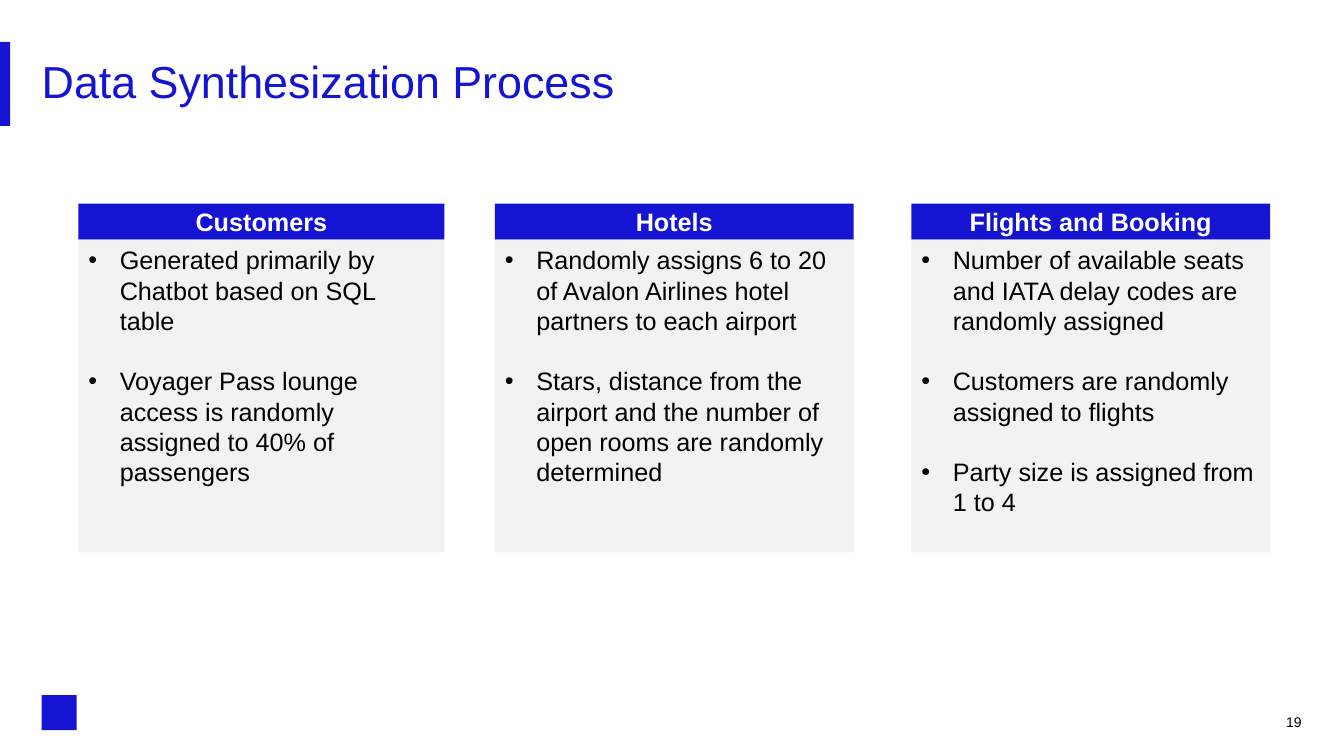
from pptx import Presentation
from pptx.dml.color import RGBColor
from pptx.enum.shapes import MSO_SHAPE
from pptx.enum.text import MSO_ANCHOR, PP_ALIGN
from pptx.oxml import parse_xml
from pptx.oxml.ns import nsdecls
from pptx.util import Pt

RECT = MSO_SHAPE.RECTANGLE
TOP, MIDDLE = MSO_ANCHOR.TOP, MSO_ANCHOR.MIDDLE
LEFT, CENTER, RIGHT = PP_ALIGN.LEFT, PP_ALIGN.CENTER, PP_ALIGN.RIGHT

BLUE = RGBColor(0x14, 0x14, 0xD2)
GREY = RGBColor(0xF2, 0xF2, 0xF2)
WHITE = RGBColor(0xFF, 0xFF, 0xFF)
BLACK = RGBColor(0x00, 0x00, 0x00)

INDENT = 22.5
LINE = 21.6
HEAD = 25.7
PITCH = 297.5

CARDS = [
    (261.4, "Customers", [
        "Generated primarily by Chatbot based on SQL table",
        "Voyager Pass lounge access is randomly assigned to 40% of passengers",
    ]),
    (256.3, "Hotels", [
        "Randomly assigns 6 to 20 of Avalon Airlines hotel partners to each airport",
        "Stars, distance from the airport and the number of open rooms are "
        "randomly determined",
    ]),
    (256.3, "Flights and Booking", [
        "Number of available seats and IATA delay codes are randomly assigned",
        "Customers are randomly assigned to flights",
        "Party size is assigned from 1 to 4",
    ]),
]


def style(item, values):
    """Set each attribute named in values on item."""
    for name, value in values.items():
        setattr(item, name, value)


def write(para, text, size, color, bold=False, **layout):
    """Fill a paragraph with one run in the slide's font."""
    run = para.add_run()
    run.text = text
    style(para, layout)
    style(run.font, {"name": "Arial", "size": Pt(size), "bold": bold})
    run.font.color.rgb = color


def block(slide, box, fill):
    """Add a plain filled rectangle."""
    shape = slide.shapes.add_shape(RECT, *map(Pt, box))
    shape.shadow.inherit = False
    shape.fill.solid()
    shape.fill.fore_color.rgb = fill
    shape.line.fill.background()
    return shape


def label(slide, box, text, size, color, **layout):
    """Add a text box without insets."""
    frame = slide.shapes.add_textbox(*map(Pt, box)).text_frame
    style(frame, {"word_wrap": True, "margin_left": 0, "margin_right": 0,
                  "margin_top": 0, "margin_bottom": 0})
    write(frame.paragraphs[0], text, size, color, **layout)


def bullet(para):
    props = para._p.get_or_add_pPr()
    style_values = {"marL": Pt(INDENT), "indent": -Pt(INDENT)}
    for name, value in style_values.items():
        props.set(name, str(int(value)))
    props.append(parse_xml(f'<a:buFont {nsdecls("a")} typeface="Arial"/>'))
    props.append(parse_xml(f'<a:buChar {nsdecls("a")} char="•"/>'))


def card(slide, box, title, points):
    """Draw a heading bar with a bulleted panel below it."""
    left, top, width, height = box
    bar = block(slide, (left, top, width, HEAD), BLUE).text_frame
    style(bar, {"vertical_anchor": MIDDLE, "word_wrap": True})
    write(bar.paragraphs[0], title, 18, WHITE, bold=True, alignment=CENTER)

    panel = block(slide, (left, top + HEAD, width, height - HEAD), GREY).text_frame
    style(panel, {"vertical_anchor": TOP, "word_wrap": True})
    for i, point in enumerate(points):
        para = panel.add_paragraph() if i else panel.paragraphs[0]
        bullet(para)
        write(para, point, 18, BLACK, alignment=LEFT, line_spacing=Pt(LINE),
              space_before=Pt(LINE if i else 0))


def header(slide, box):
    left, top, width, height = box
    block(slide, (left, top, 7.2, height), BLUE)
    label(slide, (left + 29.8, top + 12.4, width - 60, 34.6),
          "Data Synthesization Process", 32, BLUE, line_spacing=0.9)


def footer(slide, box):
    left, top, width, height = box
    block(slide, (left, top, height, height), BLUE)
    label(slide, (left + width - 34, top + 13.2, 34, 14.4), "19", 10, BLACK,
          alignment=RIGHT)


def main():
    deck = Presentation()
    style(deck, {"slide_width": Pt(960), "slide_height": Pt(540)})
    slide = deck.slides.add_slide(deck.slide_layouts[6])
    header(slide, (0, 30, 960, 60))
    for i, (width, title, points) in enumerate(CARDS):
        card(slide, (56 + i * PITCH, 145.5, width, 249), title, points)
    footer(slide, (29.8, 496.6, 900, 25))
    deck.save("out.pptx")


if __name__ == "__main__":
    main()
